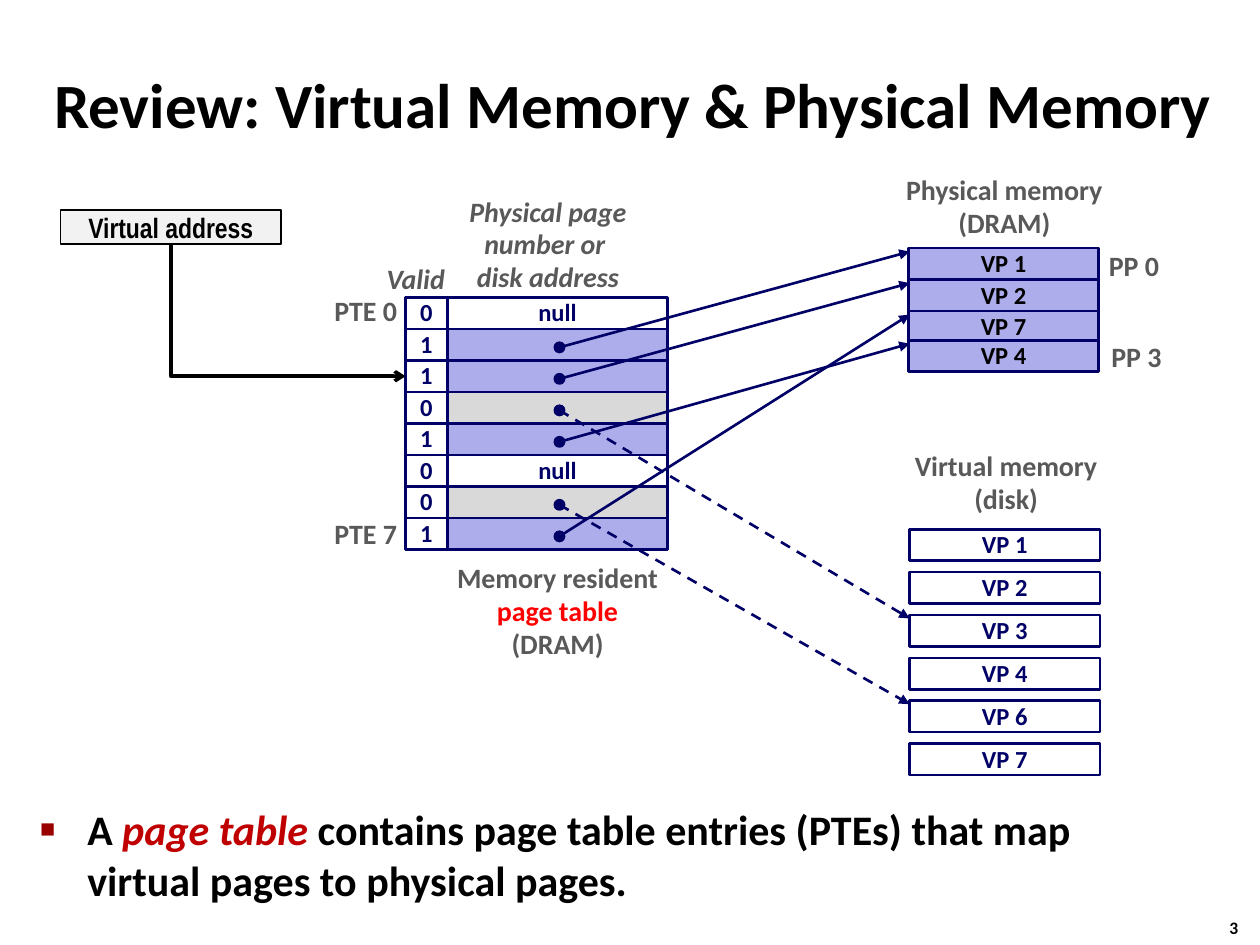
"""Build a slide on how a page table maps virtual pages to physical pages."""
from lxml.etree import SubElement
from pptx import Presentation
from pptx.dml.color import RGBColor as RGB
from pptx.enum.dml import MSO_LINE as Dash
from pptx.enum.shapes import MSO_CONNECTOR as Conn, MSO_SHAPE as Kind
from pptx.enum.text import MSO_ANCHOR as Anchor, PP_ALIGN as Align
from pptx.oxml.ns import qn
from pptx.util import Pt

HUE = {
    "ink": "000000", "navy": "000066", "gray": "595959", "lilac": "ADADEB",
    "mist": "D9D9D9", "pale": "F2F2F2", "white": "FFFFFF", "red": "FF0000",
    "wine": "C00000", "mark": "990000",
}
TITLE = "Review: Virtual Memory & Physical Memory"
ROWS = [(0, None), (1, "VP 1"), (1, "VP 2"), (0, "VP 3"),
        (1, "VP 4"), (0, None), (0, "VP 6"), (1, "VP 7")]
RAM = [("VP 1", 141.8), ("VP 2", 159.8), ("VP 7", 177.8), ("VP 4", 194.4)]
DISK = ["VP 1", "VP 2", "VP 3", "VP 4", "VP 6", "VP 7"]
LABELS = [
    (["Physical memory", "(DRAM)"], (509.8, 95.8, 128.2, 45.4), Align.CENTER, False),
    (["Virtual memory", "(disk)"], (514.1, 253.4, 121.7, 45.4), Align.CENTER, False),
    (["Physical page", "number or ", "disk address"], (260.6, 108, 105.1, 64.1), Align.CENTER, True),
    (["Memory resident", "page table", "(DRAM)"], (252, 317.5, 133.2, 64.1), Align.CENTER, False),
    (["Valid"], (213.8, 146.2, 54, 26.6), Align.LEFT, True),
    (["PTE 0"], (183.6, 164.9, 50.4, 26.6), Align.RIGHT, False),
    (["PTE 7"], (183.6, 292.3, 50.4, 26.6), Align.RIGHT, False),
    (["PP 0"], (626.4, 139, 43.2, 26.6), Align.CENTER, False),
    (["PP 3"], (627.8, 190.8, 43.2, 26.6), Align.CENTER, False),
]
POINT = [("A ", "ink", False), ("page table ", "wine", True),
         ("contains page table entries (PTEs) that map virtual pages to physical pages.", "ink", False)]
TOP, HIGH = 170, 18
FLAG, ENTRY = (231.8, 23.8), (255.6, 126)
PAGE, DISK_X, WIDE = 519.1, 519.8, 108.7
DISK_TOP, STEP = 302.4, 24.5
DOT_X, DOT = 319.7, 5.8

deck = Presentation()
deck.slide_width, deck.slide_height = Pt(720), Pt(540)
slide = deck.slides.add_slide(deck.slide_layouts[6])
shapes = slide.shapes


def color(name):
    return RGB.from_string(HUE[name])


def style(para, size, hue="ink", face="Calibri", slant=None):
    font = para.font
    font.name, font.size, font.bold = face, Pt(size), True
    font.color.rgb = color(hue)
    if slant:
        font.italic = True


def write(shape, lines, size, hue, align=Align.CENTER, face="Calibri", slant=False, lead=0.98):
    frame = shape.text_frame
    frame.word_wrap = False
    frame.vertical_anchor = Anchor.MIDDLE
    for i, line in enumerate(lines):
        para = frame.add_paragraph() if i else frame.paragraphs[0]
        para.text, para.alignment, para.line_spacing = line, align, lead
        style(para, size, "red" if line == "page table" else hue, face, slant)


def label(lines, box, size, hue, align, slant=False, lead=0.98):
    write(shapes.add_textbox(*map(Pt, box)), lines, size, hue, align, slant=slant, lead=lead)


def draw(box, fill, edge="navy", width=1.5, kind=Kind.RECTANGLE):
    shape = shapes.add_shape(kind, *map(Pt, box))
    shape.shadow.inherit = False
    if fill:
        shape.fill.solid()
        shape.fill.fore_color.rgb = color(fill)
    else:
        shape.fill.background()
    shape.line.color.rgb, shape.line.width = color(edge), Pt(width)
    return shape


def cell(box, fill, text="", hue="navy"):
    shape = draw(box, fill)
    if text:
        write(shape, [text], 14, hue)
    return shape


def link(kind, ends, hue, width, head):
    wire = shapes.add_connector(kind, *map(Pt, ends))
    wire.line.color.rgb, wire.line.width = color(hue), Pt(width)
    SubElement(wire.line._get_or_add_ln(), qn("a:tailEnd"), type=head)
    SubElement(wire._element.spPr, qn("a:effectLst"))
    return wire


def bend(wire, start, end):
    wire.begin_connect(start, 2)
    wire.end_connect(end, 1)
    left, top, wide, high = wire.left, wire.top, wire.width, wire.height
    wire.left, wire.top = left + (wide - high) // 2, top + (high - wide) // 2
    wire.width, wire.height = high, wide
    form = wire._element.spPr.find(qn("a:xfrm"))
    form.set("rot", "16200000")
    form.set("flipH", "1")
    wire._element.spPr.find(qn("a:prstGeom")).set("prst", "bentConnector2")


label([TITLE], (23.8, 28.1, 684.7, 61.9), 36, "ink", Align.LEFT, lead=1)
label(["3"], (695.5, 520.6, 26.6, 19.4), 10, "ink", Align.LEFT, lead=1)
for lines, box, align, slant in LABELS:
    label(lines, box, 16, "gray", align, slant)

ram = dict(RAM)
disk = {name: DISK_TOP + i * STEP for i, name in enumerate(DISK)}
for name, top in RAM:
    cell((PAGE, top, WIDE, HIGH), "lilac", name, "ink")
for name, top in disk.items():
    cell((DISK_X, top, WIDE, HIGH), "white", name)

flags = []
for i, (valid, page) in enumerate(ROWS):
    top = TOP + i * HIGH
    fill = "lilac" if valid else "mist" if page else "white"
    cell((ENTRY[0], top, ENTRY[1], HIGH), fill, "" if page else "null")
    flags.append(cell((FLAG[0], top, FLAG[1], HIGH), None, str(valid)))

for i, (valid, page) in enumerate(ROWS):
    if page:
        mid = TOP + (i + 0.5) * HIGH + 1.5
        goal = (ram if valid else disk)[page] + 2
        wire = link(Conn.STRAIGHT, (DOT_X, mid, DISK_X, goal), "navy", 1.5, "triangle")
        if not valid:
            wire.line.dash_style = Dash.DASH
        draw((DOT_X - DOT / 2, mid - DOT / 2, DOT, DOT), "navy", width=1, kind=Kind.OVAL)

address = draw((34.6, 120.2, 126, 19.4), "pale", "ink", 1)
write(address, ["Virtual address"], 16, "ink", face="Arial Narrow", lead=1)
bend(link(Conn.ELBOW, (0, 0, 0, 0), "ink", 2, "arrow"), address, flags[2])

frame = shapes.add_textbox(*map(Pt, (15.8, 455.8, 654.5, 69.1))).text_frame
frame.word_wrap = True
para = frame.paragraphs[0]
props = para._p.get_or_add_pPr()
props.set("marL", str(Pt(27)))
props.set("indent", str(-Pt(27)))
SubElement(SubElement(props, qn("a:buClr")), qn("a:srgbClr"), val=HUE["mark"])
SubElement(props, qn("a:buSzPct"), val="60000")
SubElement(props, qn("a:buFont"), typeface="Arial")
SubElement(props, qn("a:buChar"), char="■")
style(para, 24)
for text, hue, slant in POINT:
    run = para.add_run()
    run.text, run.font.italic = text, slant
    run.font.color.rgb = color(hue)

deck.save("out.pptx")
